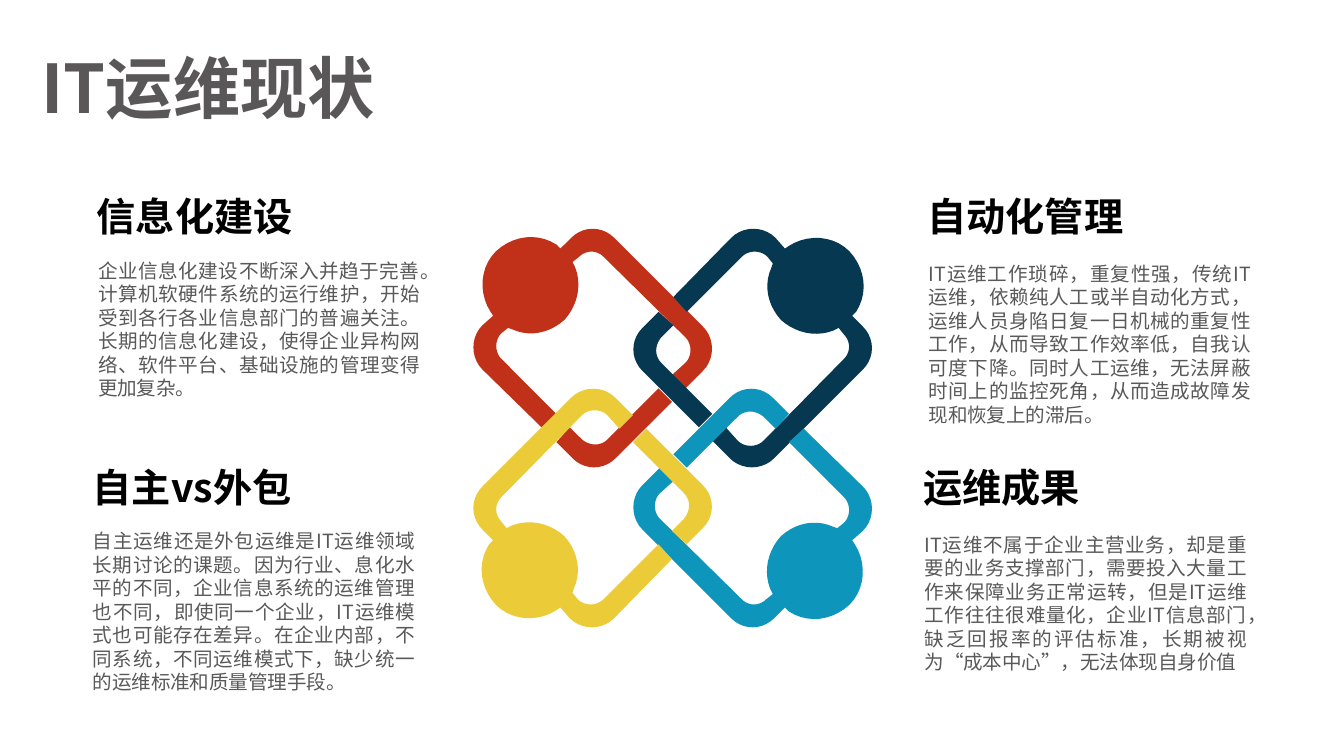
from lxml.etree import SubElement
from pptx import Presentation
from pptx.dml.color import RGBColor
from pptx.enum.lang import MSO_LANGUAGE_ID
from pptx.enum.text import MSO_ANCHOR, MSO_AUTO_SIZE, PP_ALIGN
from pptx.oxml.ns import qn
from pptx.util import Inches, Pt

FONT = "Noto Sans CJK SC"
COLORS = {
    "title": "595757", "heading": "000000", "body": "595959",
    "red": "C13018", "navy": "063951", "blue": "0D95BC", "yellow": "EBCB38",
}
# Midpoint of the knot's left and right, top and bottom edges.
KNOT_CENTER = ((3.52 + 6.49) / 2, (1.7 + 4.67) / 2)
CURVE_STEPS = 10

# One link has two pieces: pairs are line ends, sextets are Bezier curves.
LINK_PIECES = [
    [(4.14, 3.29), (4.24, 3.18), (4.33, 3.27),
     (4.39, 3.32, 4.47, 3.32, 4.52, 3.27), (4.9, 2.89), (5.0, 2.99),
     (4.58, 3.41), (4.49, 3.5, 4.35, 3.5, 4.26, 3.41)],
    [(3.69, 1.87), (3.82, 1.75, 4.0, 1.73, 4.14, 1.82), (4.17, 1.85),
     (4.25, 1.77), (4.34, 1.68, 4.48, 1.68, 4.57, 1.77), (5.23, 2.43),
     (5.32, 2.52, 5.32, 2.67, 5.23, 2.76), (5.1, 2.89), (5.0, 2.79),
     (5.1, 2.7), (5.15, 2.65, 5.15, 2.56, 5.1, 2.51), (4.49, 1.91),
     (4.44, 1.86, 4.36, 1.86, 4.31, 1.91), (4.26, 1.95), (4.28, 1.99),
     (4.33, 2.12, 4.3, 2.27, 4.2, 2.38), (4.09, 2.48, 3.94, 2.51, 3.81, 2.45),
     (3.78, 2.44), (3.73, 2.48), (3.68, 2.53, 3.68, 2.62, 3.73, 2.67),
     (4.14, 3.08), (4.03, 3.18), (3.59, 2.75),
     (3.5, 2.66, 3.5, 2.51, 3.59, 2.42), (3.67, 2.35), (3.65, 2.32),
     (3.56, 2.18, 3.57, 1.99, 3.69, 1.87)],
]

# Heading, heading left and top, body left, top and height, body text.
TOPICS = [
    ("信息化建设", 0.72, 1.38, 0.73, 1.87, 1.16,
     "企业信息化建设不断深入并趋于完善。计算机软硬件系统的运行维护，开始受到各行各业信息部门的普遍关注。"
     "长期的信息化建设，使得企业异构网络、软件平台、基础设施的管理变得更加复杂。"),
    ("自主vs外包", 0.69, 3.4, 0.69, 3.88, 1.34,
     "自主运维还是外包运维是IT运维领域长期讨论的课题。因为行业、息化水平的不同，企业信息系统的运维管理也不同，"
     "即使同一个企业，IT运维模式也可能存在差异。在企业内部，不同系统，不同运维模式下，缺少统一的运维标准和质量管理手段。"),
    ("自动化管理", 6.9, 1.38, 6.91, 1.89, 1.34,
     "IT运维工作琐碎，重复性强，传统IT运维，依赖纯人工或半自动化方式，运维人员身陷日复一日机械的重复性工作，"
     "从而导致工作效率低，自我认可度下降。同时人工运维，无法屏蔽时间上的监控死角，从而造成故障发现和恢复上的滞后。"),
    ("运维成果", 6.87, 3.4, 6.88, 3.91, 1.16,
     "IT运维不属于企业主营业务，却是重要的业务支撑部门，需要投入大量工作来保障业务正常运转，"
     "但是IT运维工作往往很难量化，企业IT信息部门，缺乏回报率的评估标准，长期被视为“成本中心”，无法体现自身价值"),
]


def write(frame, text, size, color, bold=False, align=PP_ALIGN.LEFT):
    """Fill a text frame with one formatted paragraph."""
    frame.text = text
    frame.word_wrap = True
    frame.vertical_anchor = MSO_ANCHOR.MIDDLE
    paragraph = frame.paragraphs[0]
    paragraph.alignment = align
    run = paragraph.runs[0]
    run.font.size = Pt(size)
    run.font.bold = bold
    run.font.color.rgb = RGBColor.from_string(COLORS[color])
    run.font.name = FONT
    run.font.language_id = MSO_LANGUAGE_ID.SIMPLIFIED_CHINESE
    SubElement(run.font._element, qn("a:ea"), typeface=FONT)
    return paragraph


def add_title(slide, text):
    """Place and format the slide title."""
    title = slide.shapes.title
    title.left, title.top = Inches(0.21), Inches(0.38)
    title.width, title.height = Inches(4.55), Inches(0.57)
    write(title.text_frame, text, 36, "title", bold=True).line_spacing = 0.9
    title.text_frame.margin_top = Inches(0.09)
    title.text_frame.auto_size = MSO_AUTO_SIZE.NONE


def add_text(slide, left, top, width, height, right_inset, text, **style):
    """Add a text box that starts flush with its left edge."""
    box = slide.shapes.add_textbox(
        Inches(left), Inches(top), Inches(width), Inches(height))
    frame = box.text_frame
    frame.margin_left, frame.margin_right = 0, Inches(right_inset)
    write(frame, text, **style)
    frame.auto_size = MSO_AUTO_SIZE.SHAPE_TO_FIT_TEXT


def add_topic(slide, heading, left, top, body_left, body_top, body_height,
              body):
    """Add a heading with its justified body text."""
    add_text(slide, left, top, 2.41, 0.45, 0.1, heading,
             size=21, color="heading", bold=True)
    add_text(slide, body_left, body_top, 2.4, body_height, 0, body,
             size=10.5, color="body", align=PP_ALIGN.JUSTIFY)


def flatten(piece):
    """Turn lines and Bezier curves into a list of points."""
    points = []
    for step in piece:
        if len(step) == 2:
            points.append(step)
            continue
        controls = [points[-1], step[:2], step[2:4], step[4:]]
        for i in range(1, CURVE_STEPS + 1):
            t = i / CURVE_STEPS
            weights = ((1 - t) ** 3, 3 * t * (1 - t) ** 2,
                       3 * t * t * (1 - t), t ** 3)
            points.append(tuple(
                sum(w * c[axis] for w, c in zip(weights, controls))
                for axis in (0, 1)))
    return points


def quarter_turn(point, turns):
    """Turn a point clockwise about the knot's center, in EMU."""
    dx, dy = (p - c for p, c in zip(point, KNOT_CENTER))
    for _ in range(turns):
        dx, dy = -dy, dx
    return Inches(KNOT_CENTER[0] + dx), Inches(KNOT_CENTER[1] + dy)


def add_link(slide, color, turns):
    """Add one interlocking link of the knot."""
    small, large = ([quarter_turn(point, turns) for point in flatten(piece)]
                    for piece in LINK_PIECES)
    builder = slide.shapes.build_freeform(*small[0])
    builder.add_line_segments(small[1:], close=True)
    builder.move_to(*large[0])
    builder.add_line_segments(large[1:], close=True)
    link = builder.convert_to_shape()
    link.shadow.inherit = False
    link.fill.solid()
    link.fill.fore_color.rgb = RGBColor.from_string(COLORS[color])
    link.line.fill.background()


def main():
    """Build and save the slide."""
    deck = Presentation()
    deck.slide_width, deck.slide_height = Inches(10), Inches(10 * 9 / 16)
    slide = deck.slides.add_slide(deck.slide_layouts[5])
    add_title(slide, "IT运维现状")
    for turns, color in enumerate(("red", "navy", "blue", "yellow")):
        add_link(slide, color, turns)
    for topic in TOPICS:
        add_topic(slide, *topic)
    deck.save("out.pptx")


main()
